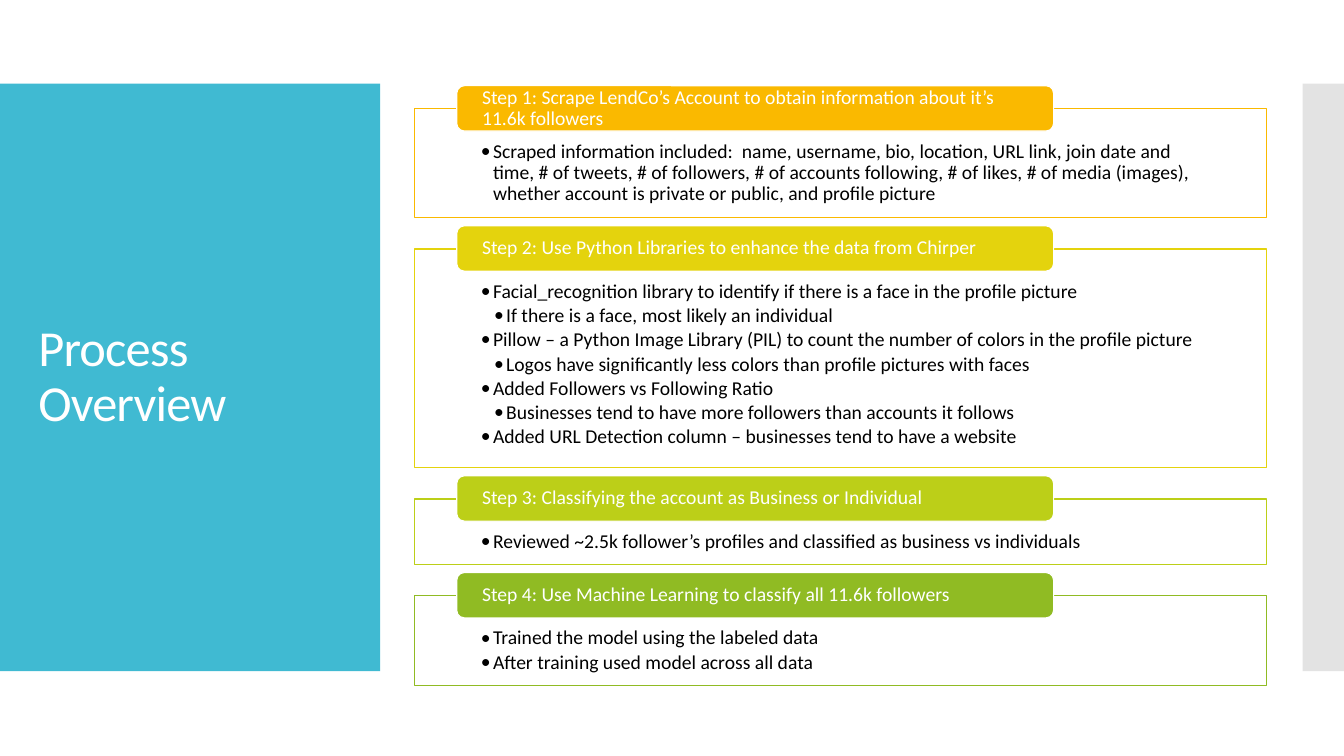
from lxml import etree
from pptx import Presentation
from pptx.dml.color import RGBColor
from pptx.enum.shapes import MSO_SHAPE
from pptx.enum.text import MSO_ANCHOR, MSO_AUTO_SIZE, PP_ALIGN
from pptx.oxml.ns import qn
from pptx.util import Inches, Pt

RECT, ROUND = MSO_SHAPE.RECTANGLE, MSO_SHAPE.ROUNDED_RECTANGLE
TOP, MIDDLE = MSO_ANCHOR.TOP, MSO_ANCHOR.MIDDLE
LEFT = PP_ALIGN.LEFT
NO_AUTOFIT = MSO_AUTO_SIZE.NONE

COLORS = {
    "white": "FFFFFF", "black": "000000", "teal": "40BAD2", "grey": "C8C8C8",
    "orange": "FAB900", "yellow": "E4D30D", "lime": "BCCF18", "green": "90BB23",
}
FONT = "Calibri"

STEPS = [
    ("orange", 1.08, "Step 1: Scrape LendCo’s Account to obtain information about it’s 11.6k followers", [
        (0, "Scraped information included:  name, username, bio, location, URL link, join date and time, "
            "# of tweets, # of followers, # of accounts following, # of likes, # of media (images), "
            "whether account is private or public, and profile picture"),
    ]),
    ("yellow", 2.17, "Step 2: Use Python Libraries to enhance the data from Chirper", [
        (0, "Facial_recognition library to identify if there is a face in the profile picture"),
        (1, "If there is a face, most likely an individual"),
        (0, "Pillow – a Python Image Library (PIL) to count the number of colors in the profile picture"),
        (1, "Logos have significantly less colors than profile pictures with faces"),
        (0, "Added Followers vs Following Ratio"),
        (1, "Businesses tend to have more followers than accounts it follows"),
        (0, "Added URL Detection column – businesses tend to have a website"),
    ]),
    ("lime", 0.65, "Step 3: Classifying the account as Business or Individual", [
        (0, "Reviewed ~2.5k follower’s profiles and classified as business vs individuals"),
    ]),
    ("green", 0.89, "Step 4: Use Machine Learning to classify all 11.6k followers", [
        (0, "Trained the model using the labeled data"),
        (0, "After training used model across all data"),
    ]),
]


def add_box(kind, at, fill, line=None, opacity=100):
    sp = slide.shapes.add_shape(kind, *[Inches(v) for v in at])
    sp.shadow.inherit = False
    sp.fill.solid()
    sp.fill.fore_color.rgb = RGBColor.from_string(COLORS[fill])
    if opacity < 100:
        clr = sp._element.spPr.find(qn("a:solidFill"))[0]
        etree.SubElement(clr, qn("a:alpha"), val=str(opacity * 1000))
    if line:
        sp.line.color.rgb = RGBColor.from_string(COLORS[line])
        sp.line.width = Pt(0.85)
    else:
        sp.line.fill.background()
    return sp


def set_text(sp, lines, color, size, anchor, margins):
    tf = sp.text_frame
    tf.word_wrap = True
    tf.auto_size = NO_AUTOFIT
    tf.vertical_anchor = anchor
    tf.margin_left, tf.margin_top, tf.margin_right, tf.margin_bottom = [Inches(m) for m in margins]
    tf.text = "\n".join(lines)
    for p in tf.paragraphs:
        p.alignment = LEFT
        p.line_spacing = 0.9
        for r in p.runs:
            r.font.name = FONT
            r.font.size = Pt(size)
            r.font.color.rgb = RGBColor.from_string(COLORS[color])
    return tf


prs = Presentation()
prs.slide_width, prs.slide_height = Inches(13.33), Inches(7.5)
slide = prs.slides.add_slide(prs.slide_layouts[5])

title = slide.shapes.title
for at, fill, opacity in [((0, 0.83, 3.77, 5.83), "teal", 100), ((12.92, 0.83, 0.41, 5.83), "grey", 50)]:
    panel = add_box(RECT, at, fill, opacity=opacity)
    title._element.addprevious(panel._element)

title.left, title.top, title.width, title.height = [Inches(v) for v in (0.28, 1.23, 3.22, 5.03)]
tf = set_text(title, ["Process Overview"], "white", 36, MIDDLE, (0.1, 0.05, 0.1, 0.05))
tf.paragraphs[0].runs[0].font._element.set("spc", "-60")

top, gap = 1.08, 0.31
for color, height, heading, bullets in STEPS:
    card = add_box(RECT, (4.11, top, 8.45, height), "white", color, 90)
    tf = set_text(card, [text for _, text in bullets], "black", 14, TOP, (0.66, 0.32, 0.66, 0.11))
    for p, (level, _) in zip(tf.paragraphs, bullets):
        p.level = level + 1
        p.space_after = Pt(2.2)
        pPr = p._p.get_or_add_pPr()
        pPr.set("marL", str(Inches(0.12 + 0.13 * level)))
        pPr.set("indent", str(-Inches(0.12)))
        etree.SubElement(pPr, qn("a:buFont"), typeface=FONT)
        etree.SubElement(pPr, qn("a:buChar"), char="•")

    header = add_box(ROUND, (4.53, top - 0.23, 5.92, 0.45), color, "white")
    set_text(header, [heading], "white", 14, MIDDLE, (0.23, 0, 0.22, 0))
    top += height + gap

prs.save("out.pptx")
